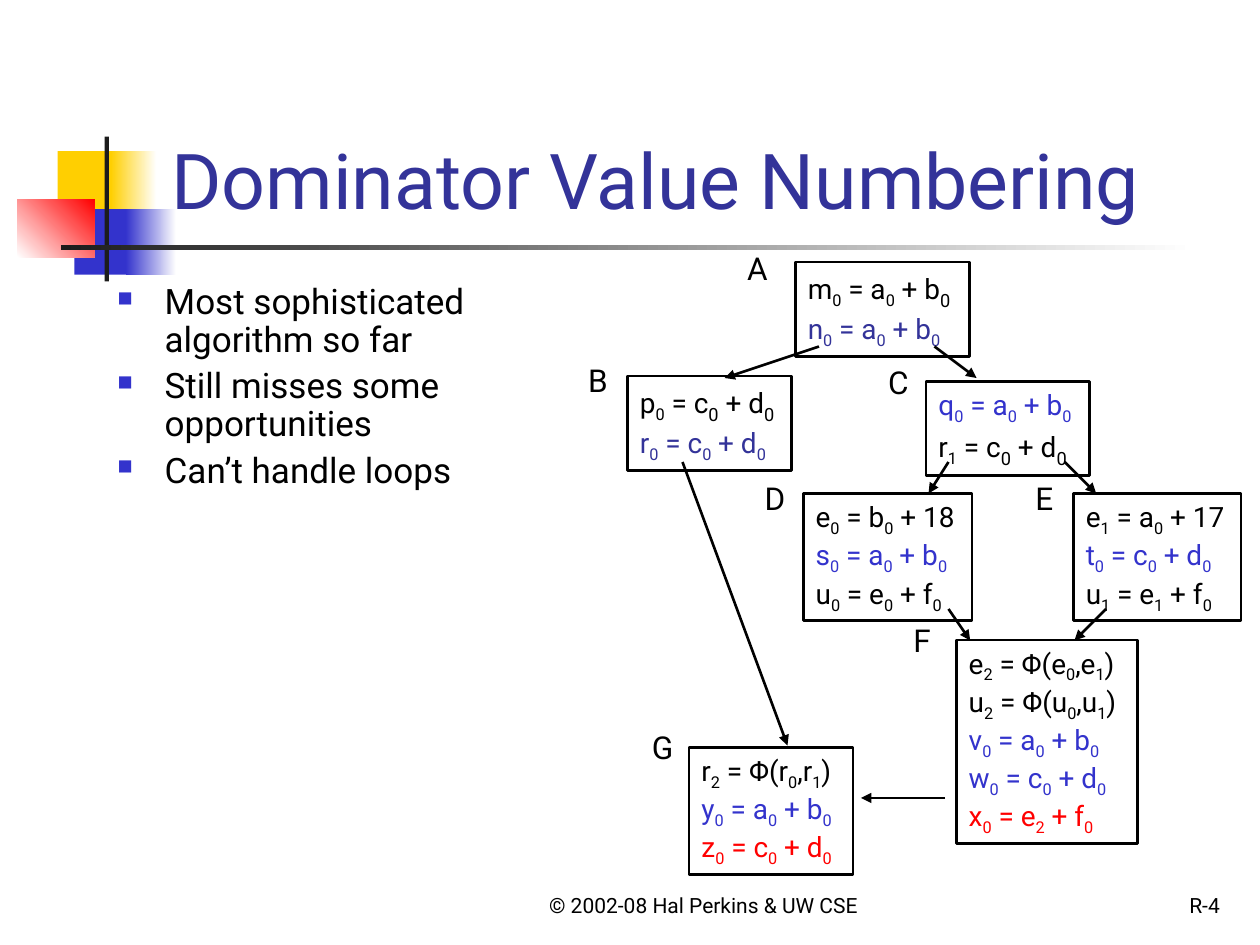
from lxml import etree
from pptx import Presentation
from pptx.dml.color import RGBColor
from pptx.enum import shapes, text
from pptx.oxml import ns
from pptx.util import Pt

BLACK = RGBColor(0x00, 0x00, 0x00)
CHARCOAL = RGBColor(0x1C, 0x1C, 0x1C)
WHITE = RGBColor(0xFF, 0xFF, 0xFF)
YELLOW = RGBColor(0xFF, 0xCF, 0x01)
BLUE = RGBColor(0x33, 0x33, 0xCC)
NAVY = RGBColor(0x33, 0x33, 0x99)
RED = RGBColor(0xFF, 0x00, 0x00)
FONT = "Roboto"

TITLE = "Dominator Value Numbering"
BULLETS = [
    "Most sophisticated algorithm so far",
    "Still misses some opportunities",
    "Can’t handle loops",
]
FOOTERS = [
    ("© 2002-08 Hal Perkins & UW CSE", (288, 492, 228, 36), text.PP_ALIGN.CENTER),
    ("R-4", (554.4, 492, 149.76, 36), text.PP_ALIGN.RIGHT),
]
DECORATIONS = [
    ((33, 86.4, 34.8, 37.4), (YELLOW,), 0),
    ((63.4, 86.4, 26, 37.4), (YELLOW, WHITE), 0),
    ((42.5, 119.5, 33.1, 37.4), (BLUE,), 0),
    ((72, 119.5, 28.8, 37.4), (BLUE, WHITE), 0),
    ((10, 113.8, 44, 33.1), (WHITE, RED), 45),
    ((59.8, 78, 2.4, 82.8), (CHARCOAL,), 0),
    ((34.8, 140.2, 648, 2.4), (CHARCOAL, WHITE), 0),
]
# "_" lowers the next character; "_~" lowers it at the larger size
BLOCKS = [
    ("A", (419.8, 139), (454.5, 149.8, 99.4, 54),
     [("m_0 = a_0 + b_~0", BLACK), ("n_0 = a_0 + b_0", NAVY)]),
    ("B", (329, 203), (358.6, 214.8, 93.6, 54),
     [("p_0 = c_~0 + d_~0", BLACK), ("r_0 = c_0 + d_0", NAVY)]),
    ("C", (500.4, 204), (529.2, 217.9, 93.6, 54),
     [("q_0 = a_0 + b_0", BLUE), ("r_1 = c_~0 + d_~0", BLACK)]),
    ("D", (429.8, 270), (459, 282, 96.5, 72.7),
     [("e_0 = b_0 + 18", BLACK), ("s_0 = a_0 + b_0", BLUE), ("u_0 = e_0 + f_0", BLACK)]),
    ("E", (584.6, 270), (613.4, 282, 95.8, 72.7),
     [("e_1 = a_0 + 17", BLACK), ("t_0 = c_0 + d_0", BLUE), ("u_1 = e_1 + f_0", BLACK)]),
    ("F", (514.8, 351.6), (546.5, 365.6, 103.7, 116.6),
     [("e_2 = Φ(e_0,e_1)", BLACK), ("u_2 = Φ(u_0,u_1)", BLACK), ("v_0 = a_0 + b_0", BLUE),
      ("w_0 = c_0 + d_0", BLUE), ("x_0 = e_2 + f_0", RED)]),
    ("G", (365.4, 412.6), (393.8, 427, 93.6, 72.7),
     [("r_2 = Φ(r_0,r_1)", BLACK), ("y_0 = a_0 + b_0", BLUE), ("z_0 = c_0 + d_0", RED)]),
]
ARROWS = [
    (540, 456, 492, 456),
    (542, 264, 530.6, 282),
    (608.4, 264, 626.4, 282),
    (632, 348, 614, 366),
    (542, 348, 554.4, 366),
    (534, 198, 558, 216),
    (468, 198, 414, 216),
    (390, 264, 450, 426),
]


def points(values):
    return [Pt(value) for value in values]


def set_font(font, size, color):
    font.name, font.size = FONT, Pt(size)
    font.color.rgb = color


def add_rectangle(slide, box):
    shape = slide.shapes.add_shape(shapes.MSO_SHAPE.RECTANGLE, *points(box))
    shape.shadow.inherit = False
    return shape


def add_decoration(slide, box, colors, angle):
    shape = add_rectangle(slide, box)
    shape.line.fill.background()
    if len(colors) == 1:
        shape.fill.solid()
        shape.fill.fore_color.rgb = colors[0]
        return
    shape.fill.gradient()
    shape.fill.gradient_angle = angle
    for stop, color in zip(shape.fill.gradient_stops, colors):
        stop.color.rgb = color


def add_text(slide, words, box, size, color=BLACK, anchor=text.MSO_ANCHOR.TOP,
             align=text.PP_ALIGN.LEFT, wrap=True):
    frame = slide.shapes.add_textbox(*points(box)).text_frame
    frame.word_wrap = wrap
    frame.vertical_anchor = anchor
    frame.text = words
    for paragraph in frame.paragraphs:
        paragraph.alignment = align
        for run in paragraph.runs:
            set_font(run.font, size, color)
    return frame


def add_run(paragraph, words, color, size=16, lowered=False):
    run = paragraph.add_run()
    run.text = words
    set_font(run.font, size, color)
    if lowered:
        run.font._element.set("baseline", "-25000")


def add_formula(paragraph, formula, color):
    paragraph.alignment = text.PP_ALIGN.LEFT
    first, *parts = formula.split("_")
    add_run(paragraph, first, color)
    for part in parts:
        size = 18 if part.startswith("~") else 16
        part = part.lstrip("~")
        add_run(paragraph, part[0], color, size, lowered=True)
        if part[1:]:
            add_run(paragraph, part[1:], color)


def add_block(slide, name, label_corner, box, formulas):
    shape = add_rectangle(slide, box)
    shape.fill.background()
    shape.line.color.rgb = BLACK
    shape.line.width = Pt(1.5)
    frame = shape.text_frame
    frame.word_wrap = False
    frame.auto_size = text.MSO_AUTO_SIZE.SHAPE_TO_FIT_TEXT
    frame.vertical_anchor = text.MSO_ANCHOR.TOP
    frame.text = "\n" * (len(formulas) - 1)
    for paragraph, (formula, color) in zip(frame.paragraphs, formulas):
        add_formula(paragraph, formula, color)
    add_text(slide, name, (*label_corner, 26, 28.8), 18, wrap=False)


def add_arrow(slide, ends):
    connector = slide.shapes.add_connector(shapes.MSO_CONNECTOR.STRAIGHT, *points(ends))
    connector.line.color.rgb = BLACK
    connector.line.width = Pt(1.5)
    etree.SubElement(connector.line._get_or_add_ln(), ns.qn("a:tailEnd"), type="triangle")
    etree.SubElement(connector._element.spPr, ns.qn("a:effectLst"))


def add_bullets(slide):
    frame = add_text(slide, "\n".join(BULLETS), (60, 159, 276, 324), 20)
    for index, paragraph in enumerate(frame.paragraphs):
        paragraph.line_spacing = 0.9
        paragraph.space_before = Pt(5 if index else 0)
        properties = paragraph._p.get_or_add_pPr()
        properties.set("marL", str(Pt(27)))
        properties.set("indent", str(-Pt(27)))
        bullet_color = etree.SubElement(properties, ns.qn("a:buClr"))
        etree.SubElement(bullet_color, ns.qn("a:srgbClr"), val=str(BLUE))
        etree.SubElement(properties, ns.qn("a:buSzPct"), val="60000")
        etree.SubElement(properties, ns.qn("a:buChar"), char="■")


def main():
    presentation = Presentation()
    presentation.slide_width, presentation.slide_height = Pt(720), Pt(540)
    slide = presentation.slides.add_slide(presentation.slide_layouts[6])
    for decoration in DECORATIONS:
        add_decoration(slide, *decoration)
    for words, box, align in FOOTERS:
        add_text(slide, words, box, 12, anchor=text.MSO_ANCHOR.BOTTOM, align=align)
    add_text(slide, TITLE, (90.7, 16.6, 613.4, 115.2), 44, NAVY, text.MSO_ANCHOR.BOTTOM)
    for block in BLOCKS:
        add_block(slide, *block)
    for ends in ARROWS:
        add_arrow(slide, ends)
    add_bullets(slide)
    presentation.save("out.pptx")


if __name__ == "__main__":
    main()
